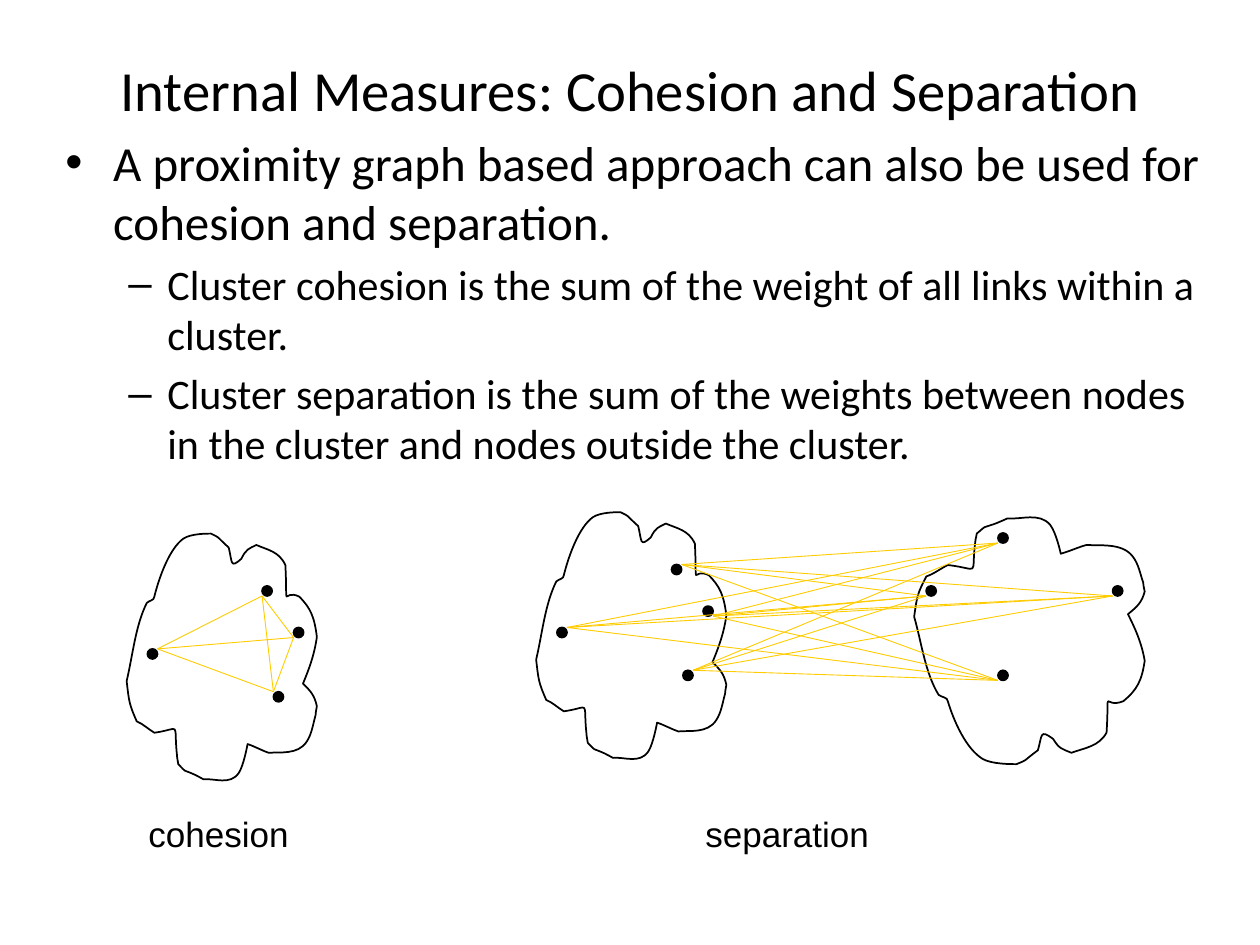
"""Build a slide on cluster cohesion and separation with proximity graphs."""
from dataclasses import dataclass
from itertools import combinations, product

from lxml.etree import SubElement
from pptx import Presentation
from pptx.dml.color import RGBColor
from pptx.enum.shapes import MSO_CONNECTOR, MSO_SHAPE
from pptx.enum.text import MSO_ANCHOR, MSO_AUTO_SIZE, PP_ALIGN
from pptx.oxml.ns import qn
from pptx.util import Inches, Pt

COLORS = {"ink": "000000", "link": "FFCC00"}
DOT = 0.08
CLOUD_LENGTH, CLOUD_BREADTH = 200, 151
CLOUD_START = (16, 55)
CLOUD_CURVES = (
    (7, 73, 5, 96, 0, 117), (2, 134, 2, 135, 8, 149),
    (13, 151, 17, 155, 22, 158), (44, 155, 37, 148, 40, 176),
    (40, 179, 41, 181, 41, 183), (48, 190, 44, 187, 51, 190),
    (54, 191, 61, 195, 61, 195), (70, 194, 82, 200, 89, 190),
    (93, 184, 96, 167, 96, 167), (102, 169, 107, 172, 113, 174),
    (121, 173, 136, 176, 143, 165), (147, 159, 148, 151, 150, 144),
    (150, 142, 151, 137, 151, 137), (149, 128, 146, 125, 140, 119),
    (145, 107, 149, 96, 151, 82), (149, 66, 146, 59, 137, 50),
    (123, 43, 128, 65, 126, 25), (121, 14, 112, 13, 103, 9),
    (97, 12, 95, 12, 91, 20), (82, 28, 84, 23, 81, 11),
    (70, 1, 75, 4, 67, 0), (63, 0, 51, 0, 45, 4),
    (34, 12, 26, 34, 22, 50), (22, 53, 18, 53, 16, 55),
)


@dataclass(frozen=True)
class Point:
    x: float
    y: float

    def moved(self, dx: float, dy: float) -> "Point":
        return Point(self.x + dx, self.y + dy)


@dataclass(frozen=True)
class Cluster:
    corner: Point
    breadth: float
    rotation: int
    mirrored: bool
    nodes: tuple[Point, ...]


@dataclass(frozen=True)
class Bullet:
    text: str
    mark: str
    size: int
    level: int
    margin: float
    indent: float
    space_before: float


@dataclass(frozen=True)
class Caption:
    text: str
    left: float
    width: float


LEFT_NODES = (Point(5.42, 5.32), Point(5.33, 4.48), Point(4.42, 4.98), Point(5.58, 4.81))
RIGHT_NODES = (Point(8.83, 4.65), Point(7.35, 4.65), Point(7.92, 5.32), Point(7.92, 4.23))
COHESION_SHIFT = (-3.25, 0.17)
LEFT = Cluster(Point(4.01, 4.31), 1.51, 270, False, LEFT_NODES)
RIGHT = Cluster(Point(7.17, 4.15), 1.83, 90, True, RIGHT_NODES)
COHESIVE = Cluster(
    LEFT.corner.moved(*COHESION_SHIFT), 1.51, 270, False,
    tuple(node.moved(*COHESION_SHIFT) for node in LEFT_NODES),
)
BULLETS = (
    Bullet("A proximity graph based approach can also be used for cohesion and separation.",
           "•", 28, 0, 0.38, -0.38, 0),
    Bullet("Cluster cohesion is the sum of the weight of all links within a cluster.",
           "–", 24, 1, 0.81, -0.31, 4.8),
    Bullet("Cluster separation is the sum of the weights between nodes in the cluster "
           "and nodes outside the cluster.", "–", 24, 1, 0.81, -0.31, 4.8),
)
CAPTIONS = (Caption("cohesion", 1.08, 1.33), Caption("separation", 5.5, 1.5))


def color(name: str) -> RGBColor:
    return RGBColor.from_string(COLORS[name])


def add_text(paragraph, text: str, font: str, size: float) -> None:
    run = paragraph.add_run()
    run.text = text
    run.font.name = font
    run.font.size = Pt(size)
    run.font.color.rgb = color("ink")


def place(shape, left: float, top: float, width: float, height: float) -> None:
    shape.left, shape.top = Inches(left), Inches(top)
    shape.width, shape.height = Inches(width), Inches(height)


def add_title(slide, text: str) -> None:
    title = slide.shapes.title
    place(title, 0.5, 0.08, 9, 1.25)
    title.text_frame.vertical_anchor = MSO_ANCHOR.MIDDLE
    heading = title.text_frame.paragraphs[0]
    heading.alignment = PP_ALIGN.CENTER
    add_text(heading, text, "Calibri", 32.4)


def add_bullets(slide, bullets: tuple[Bullet, ...]) -> None:
    body = slide.shapes.add_textbox(Inches(0.42), Inches(1), Inches(9.25), Inches(6.08))
    frame = body.text_frame
    frame.word_wrap = True
    for index, bullet in enumerate(bullets):
        paragraph = frame.add_paragraph() if index else frame.paragraphs[0]
        paragraph.level = bullet.level
        paragraph.space_before = Pt(bullet.space_before)
        properties = paragraph._p.get_or_add_pPr()
        properties.set("marL", str(Inches(bullet.margin)))
        properties.set("indent", str(Inches(bullet.indent)))
        SubElement(properties, qn("a:buFont")).set("typeface", "Arial")
        SubElement(properties, qn("a:buChar")).set("char", bullet.mark)
        add_text(paragraph, bullet.text, "Calibri", bullet.size)


def add_curve_points(parent, numbers: tuple[int, ...], mirrored: bool) -> None:
    for across, down in zip(numbers[::2], numbers[1::2]):
        point = SubElement(parent, qn("a:pt"))
        point.set("x", str(CLOUD_LENGTH - down))
        point.set("y", str(CLOUD_BREADTH - across if mirrored else across))


def add_cloud(slide, cluster: Cluster) -> None:
    builder = slide.shapes.build_freeform(0, 0, scale=Inches(0.01))
    builder.add_line_segments(
        [(CLOUD_LENGTH, 0), (CLOUD_LENGTH, CLOUD_BREADTH), (0, CLOUD_BREADTH)])
    cloud = builder.convert_to_shape()
    outline = cloud._element.find(".//" + qn("a:path"))
    for segment in list(outline):
        outline.remove(segment)
    add_curve_points(SubElement(outline, qn("a:moveTo")), CLOUD_START, cluster.mirrored)
    for curve in CLOUD_CURVES:
        add_curve_points(SubElement(outline, qn("a:cubicBezTo")), curve, cluster.mirrored)
    SubElement(outline, qn("a:close"))
    place(cloud, cluster.corner.x, cluster.corner.y, 2, cluster.breadth)
    cloud.rotation = cluster.rotation
    cloud.shadow.inherit = False
    cloud.fill.background()
    cloud.line.color.rgb = color("ink")
    cloud.line.width = Pt(1)


def add_cluster(slide, cluster: Cluster) -> None:
    add_cloud(slide, cluster)
    for node in cluster.nodes:
        dot = slide.shapes.add_shape(
            MSO_SHAPE.OVAL, Inches(node.x), Inches(node.y), Inches(DOT), Inches(DOT))
        dot.rotation = cluster.rotation
        dot.shadow.inherit = False
        dot.fill.solid()
        dot.fill.fore_color.rgb = color("ink")
        dot.line.color.rgb = color("ink")
        dot.line.width = Pt(1)


def add_link(slide, start: Point, end: Point) -> None:
    link = slide.shapes.add_connector(
        MSO_CONNECTOR.STRAIGHT, Inches(start.x), Inches(start.y), Inches(end.x), Inches(end.y))
    link.line.color.rgb = color("link")
    link.line.width = Pt(0.5)
    SubElement(link._element.spPr, qn("a:effectLst"))


def add_caption(slide, caption: Caption) -> None:
    label = slide.shapes.add_textbox(
        Inches(caption.left), Inches(6.4), Inches(caption.width), Inches(0.43))
    label.text_frame.word_wrap = False
    label.text_frame.auto_size = MSO_AUTO_SIZE.SHAPE_TO_FIT_TEXT
    add_text(label.text_frame.paragraphs[0], caption.text, "Arial", 20)


def main() -> None:
    deck = Presentation()
    deck.slide_width, deck.slide_height = Inches(10), Inches(7.5)
    slide = deck.slides.add_slide(deck.slide_layouts[5])
    add_title(slide, "Internal Measures: Cohesion and Separation")
    add_bullets(slide, BULLETS)

    add_cluster(slide, LEFT)
    add_cluster(slide, RIGHT)
    left_offsets = ((DOT, 0), (DOT, 0), (DOT, 0), (DOT, DOT))
    left_ends = [node.moved(*offset) for node, offset in zip(LEFT.nodes, left_offsets)]
    right_ends = [node.moved(0, DOT) for node in RIGHT.nodes]
    for start, end in product(left_ends, right_ends):
        add_link(slide, start, end)

    add_cluster(slide, COHESIVE)
    inner_offsets = ((0, 0), (0, DOT), (DOT, 0), (0, DOT))
    inner_ends = [node.moved(*offset) for node, offset in zip(COHESIVE.nodes, inner_offsets)]
    for start, end in combinations(inner_ends, 2):
        add_link(slide, start, end)

    for caption in CAPTIONS:
        add_caption(slide, caption)
    deck.save("out.pptx")


if __name__ == "__main__":
    main()
